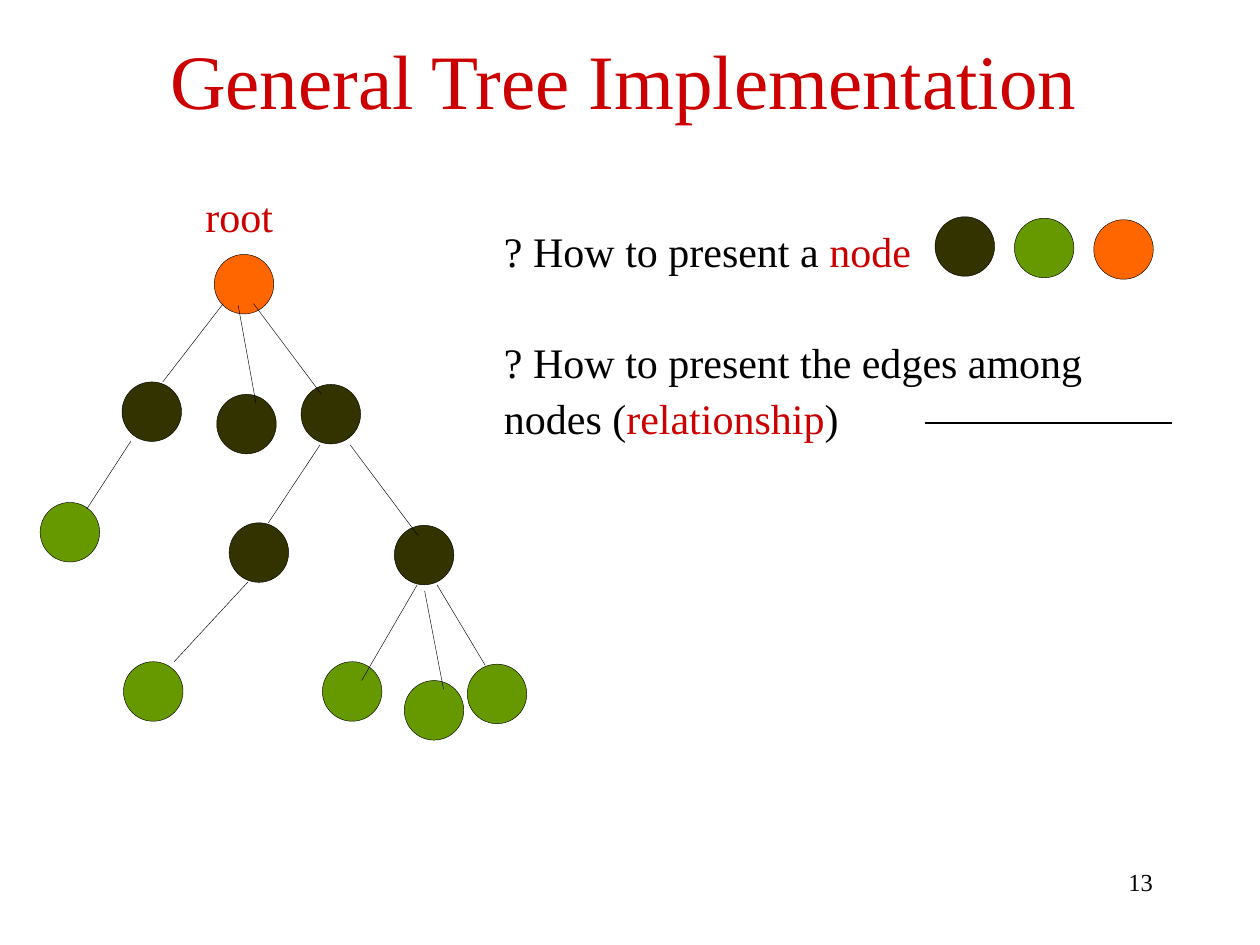
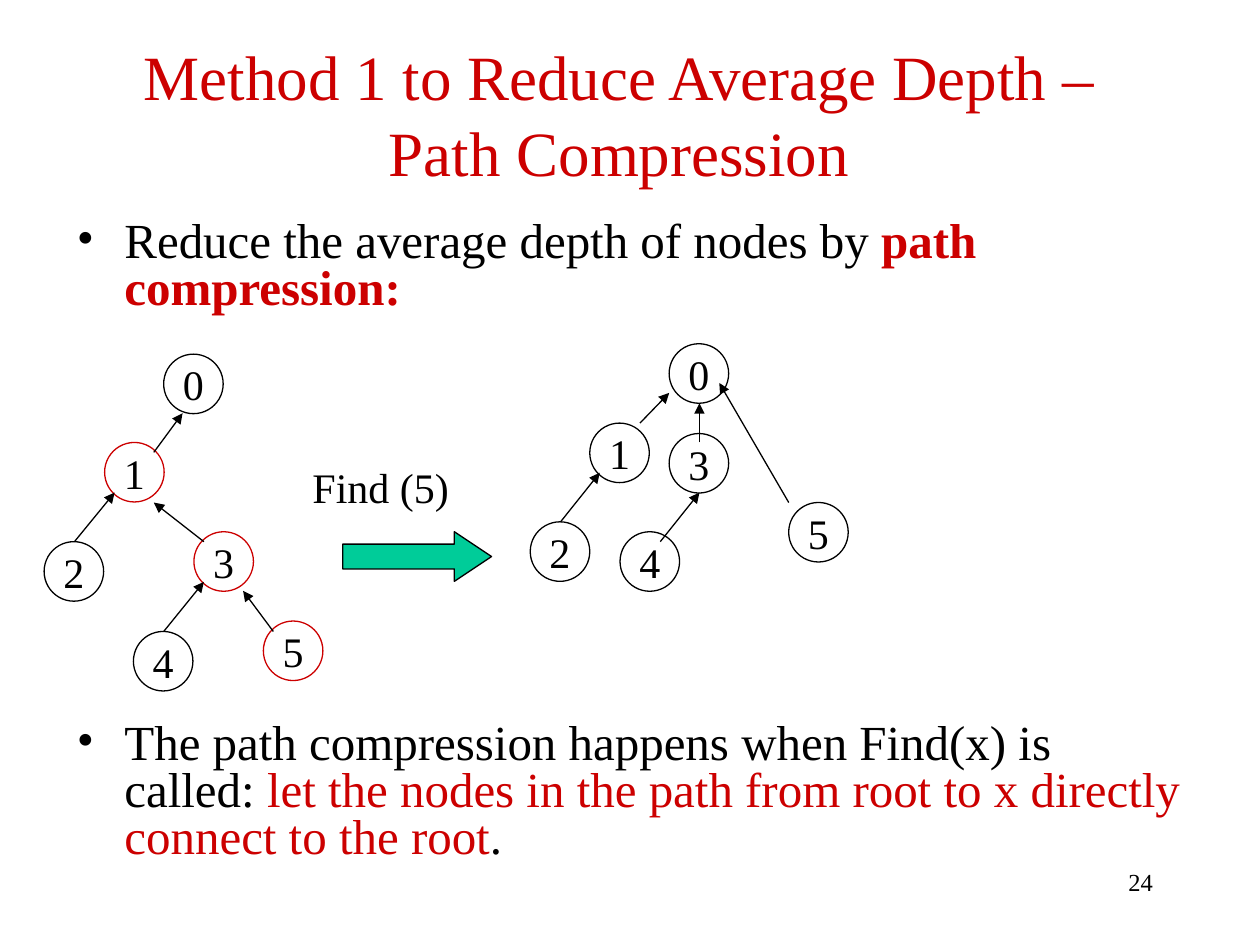
from lxml import etree
from pptx import Presentation
from pptx.dml.color import RGBColor
from pptx.enum.shapes import MSO_CONNECTOR, MSO_SHAPE
from pptx.enum.text import MSO_ANCHOR, PP_ALIGN
from pptx.oxml.ns import qn
from pptx.util import Cm, Pt

LEFT, CENTER, RIGHT, JUSTIFY = PP_ALIGN.LEFT, PP_ALIGN.CENTER, PP_ALIGN.RIGHT, PP_ALIGN.JUSTIFY
TOP, MIDDLE = MSO_ANCHOR.TOP, MSO_ANCHOR.MIDDLE
OVAL, RIGHT_ARROW = MSO_SHAPE.OVAL, MSO_SHAPE.RIGHT_ARROW
STRAIGHT = MSO_CONNECTOR.STRAIGHT

FONT = "Times New Roman"
BLACK, RED = "000000", "CC0000"
DARK, GREEN, ORANGE, TEAL = "333300", "669900", "FF6600", "00CC99"
NODE_SIZE = 1.2
THIN, NORMAL = 0.25, 0.75


def write(frame, paragraphs, size, align=LEFT, anchor=TOP, line_spacing=None):
    """Fill a frame; each paragraph is a list of (text, colour, bold) runs."""
    frame.vertical_anchor = anchor
    for index, runs in enumerate(paragraphs):
        paragraph = frame.paragraphs[0] if index == 0 else frame.add_paragraph()
        for name, value in {"alignment": align, "line_spacing": line_spacing}.items():
            setattr(paragraph, name, value)
        for text, color, bold in runs:
            run = paragraph.add_run()
            run.text = text
            for name, value in {"name": FONT, "size": Pt(size), "bold": bold}.items():
                setattr(run.font, name, value)
            run.font.color.rgb = RGBColor.from_string(color)


def add_text(slide, box, paragraphs, size, **options):
    frame = slide.shapes.add_textbox(*map(Cm, box)).text_frame
    frame.word_wrap = True
    write(frame, paragraphs, size, **options)
    return frame


prs = Presentation()
prs.slide_width, prs.slide_height = Cm(25.4), Cm(19.05)

# Titles and page numbers
pages = [
    ("13", (1.78, 0, 21.59, 3.18), 44, ["General Tree Implementation"]),
    ("24", (1.05, 1.02, 22.86, 2.54), 36,
     ["Method 1 to Reduce Average Depth –", "Path Compression"]),
]
for number, title_box, title_size, title_lines in pages:
    slide = prs.slides.add_slide(prs.slide_layouts[6])
    add_text(slide, (18.21, 17.35, 5.28, 1.27), [[(number, BLACK, False)]], 14, align=RIGHT)
    add_text(slide, title_box, [[(line, RED, False)] for line in title_lines],
             title_size, align=CENTER, anchor=MIDDLE)
tree_slide, compression_slide = prs.slides

# Questions on the general tree
questions = [
    (4.32, 1.4, [[("? How to present a ", BLACK, False), ("node", RED, False)]]),
    (6.56, 2.5, [[("? How to present the edges among", BLACK, False)],
                 [("nodes (", BLACK, False), ("relationship", RED, False),
                  (")", BLACK, False)]]),
]
for top, height, lines in questions:
    add_text(tree_slide, (9.91, top, 12.5, height), lines, 24,
             align=JUSTIFY, line_spacing=1.1)
add_text(tree_slide, (3.89, 3.71, 2.2, 1.32), [[("root", RED, False)]], 24)

# Bullets on path compression
bullets = [
    (4.32, [("Reduce the average depth of nodes by ", BLACK, False),
            ("path compression:", RED, True)]),
    (14.44, [("The path compression happens when Find(x) is called: ", BLACK, False),
             ("let the nodes in the path from root to x directly connect to the root",
              RED, False),
             (".", BLACK, False)]),
]
for top, runs in bullets:
    frame = add_text(compression_slide, (1.3, top, 22.81, 3), [runs], 28, line_spacing=0.8)
    properties = frame.paragraphs[0]._p.get_or_add_pPr()
    properties.set("marL", str(Cm(0.96)))
    properties.set("indent", str(-Cm(0.96)))
    etree.SubElement(properties, qn("a:buFont")).set("typeface", FONT)
    etree.SubElement(properties, qn("a:buChar")).set("char", "•")

# Nodes of the general tree and its legend: left, top, fill
tree_nodes = [
    (4.32, 5.13, ORANGE),
    (2.46, 7.7, DARK), (4.37, 7.95, DARK), (6.07, 7.75, DARK),
    (0.81, 10.13, GREEN), (4.62, 10.54, DARK), (7.95, 10.59, DARK),
    (2.49, 13.34, GREEN), (6.5, 13.34, GREEN), (8.15, 13.72, GREEN), (9.42, 13.39, GREEN),
]
for step, fill in enumerate((DARK, GREEN, ORANGE)):
    tree_nodes.append((18.85 + 1.6 * step, 4.37 + 0.03 * step, fill))

# Nodes before and after compression: left, top, label, outline
compression_nodes = [
    (3.3, 7.14, "0", BLACK), (2.11, 8.92, "1", RED), (0.89, 10.92, "2", BLACK),
    (3.91, 10.72, "3", RED), (2.69, 12.73, "4", BLACK), (5.31, 12.52, "5", RED),
    (13.49, 6.93, "0", BLACK), (11.89, 8.53, "1", BLACK), (10.69, 10.52, "2", BLACK),
    (13.49, 8.74, "3", BLACK), (12.5, 10.72, "4", BLACK), (15.9, 10.13, "5", BLACK),
]

nodes = [(tree_slide, x, y, "", fill, BLACK, THIN) for x, y, fill in tree_nodes]
nodes += [(compression_slide, x, y, label, None, outline, NORMAL)
          for x, y, label, outline in compression_nodes]
for slide, x, y, label, fill, outline, width in nodes:
    node = slide.shapes.add_shape(OVAL, Cm(x), Cm(y), Cm(NODE_SIZE), Cm(NODE_SIZE))
    node.shadow.inherit = False
    if fill:
        node.fill.solid()
        node.fill.fore_color.rgb = RGBColor.from_string(fill)
    else:
        node.fill.background()
    node.line.color.rgb = RGBColor.from_string(outline)
    node.line.width = Pt(width)
    if label:
        node.text_frame.word_wrap = False
        write(node.text_frame, [[(label, BLACK, False)]], 24, align=CENTER, anchor=MIDDLE)

# Edges: start x, start y, end x, end y
tree_edges = [
    (4.5, 6.12, 3.28, 7.7), (4.8, 6.15, 5.16, 8.13), (5.11, 6.12, 6.48, 7.95),
    (2.64, 8.89, 1.75, 10.26), (6.45, 8.97, 5.41, 10.54), (7.06, 8.97, 8.43, 10.8),
    (5, 11.73, 3.51, 13.34), (8.41, 11.79, 7.29, 13.72),
    (8.56, 11.91, 8.94, 13.89), (8.81, 11.79, 9.78, 13.41),
]
legend_edge = (18.64, 8.53, 23.62, 8.53)
parent_arrows = [
    (3.1, 9.12, 3.68, 8.33), (1.5, 10.92, 2.31, 9.93), (4.11, 10.92, 3.1, 10.13),
    (3.3, 12.73, 4.11, 11.73), (5.51, 12.73, 4.9, 11.91),
    (12.9, 8.53, 13.49, 7.92), (14.1, 8.92, 14.1, 8.13), (15.9, 10.13, 14.5, 7.72),
    (11.3, 10.52, 12.09, 9.53), (13.31, 10.92, 14.1, 9.93),
]
edges = [(tree_slide, ends, THIN, False) for ends in tree_edges]
edges.append((tree_slide, legend_edge, NORMAL, False))
edges += [(compression_slide, ends, NORMAL, True) for ends in parent_arrows]
for slide, ends, width, has_arrow in edges:
    edge = slide.shapes.add_connector(STRAIGHT, *map(Cm, ends))
    edge.line.color.rgb = RGBColor.from_string(BLACK)
    edge.line.width = Pt(width)
    properties = edge.element.spPr
    if has_arrow:
        outline = properties.find(qn("a:ln"))
        etree.SubElement(outline, qn("a:tailEnd")).set("type", "triangle")
    etree.SubElement(properties, qn("a:effectLst"))

# Find step between the two trees
add_text(compression_slide, (6.05, 9.17, 3.5, 1.27), [[("Find (5)", BLACK, False)]], 24)
find_arrow = compression_slide.shapes.add_shape(
    RIGHT_ARROW, Cm(6.91), Cm(10.72), Cm(3), Cm(1))
find_arrow.adjustments[0], find_arrow.adjustments[1] = 0.5, 0.75
find_arrow.shadow.inherit = False
find_arrow.fill.solid()
find_arrow.fill.fore_color.rgb = RGBColor.from_string(TEAL)
find_arrow.line.color.rgb = RGBColor.from_string(BLACK)
find_arrow.line.width = Pt(NORMAL)

prs.save("out.pptx")
